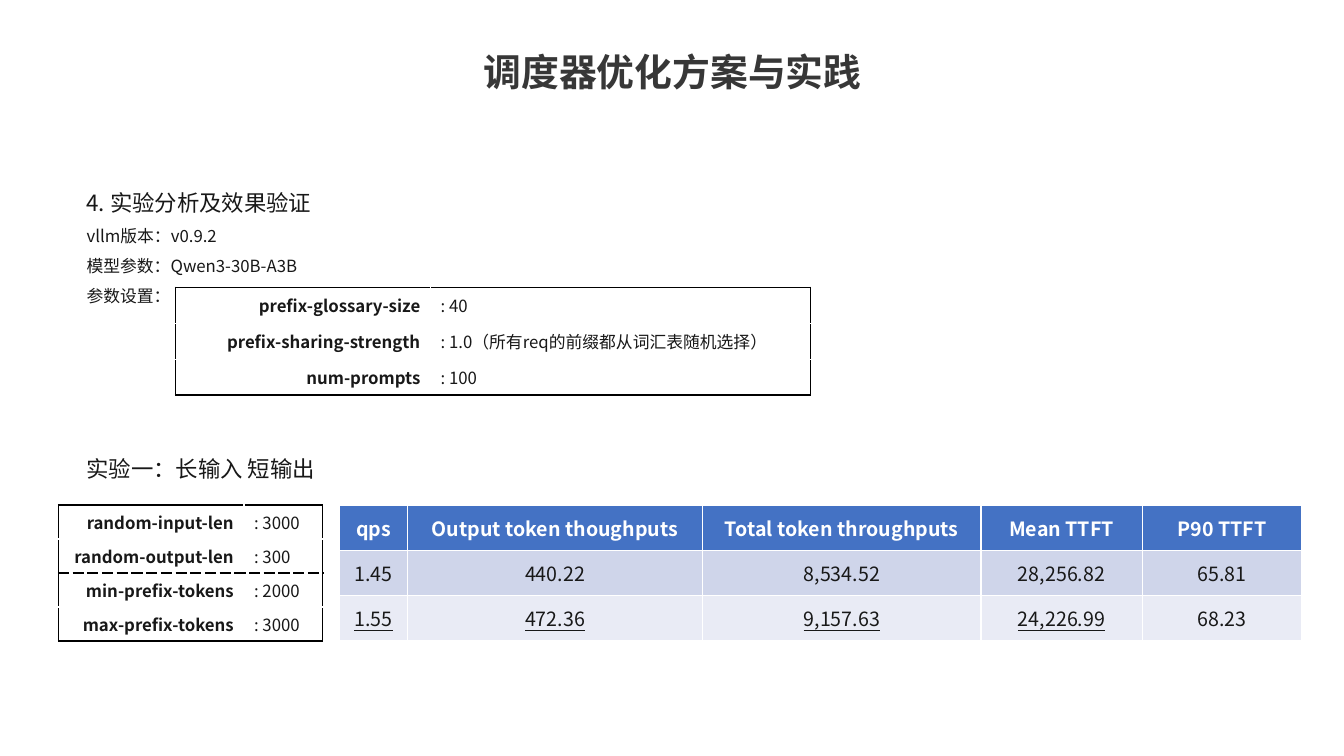
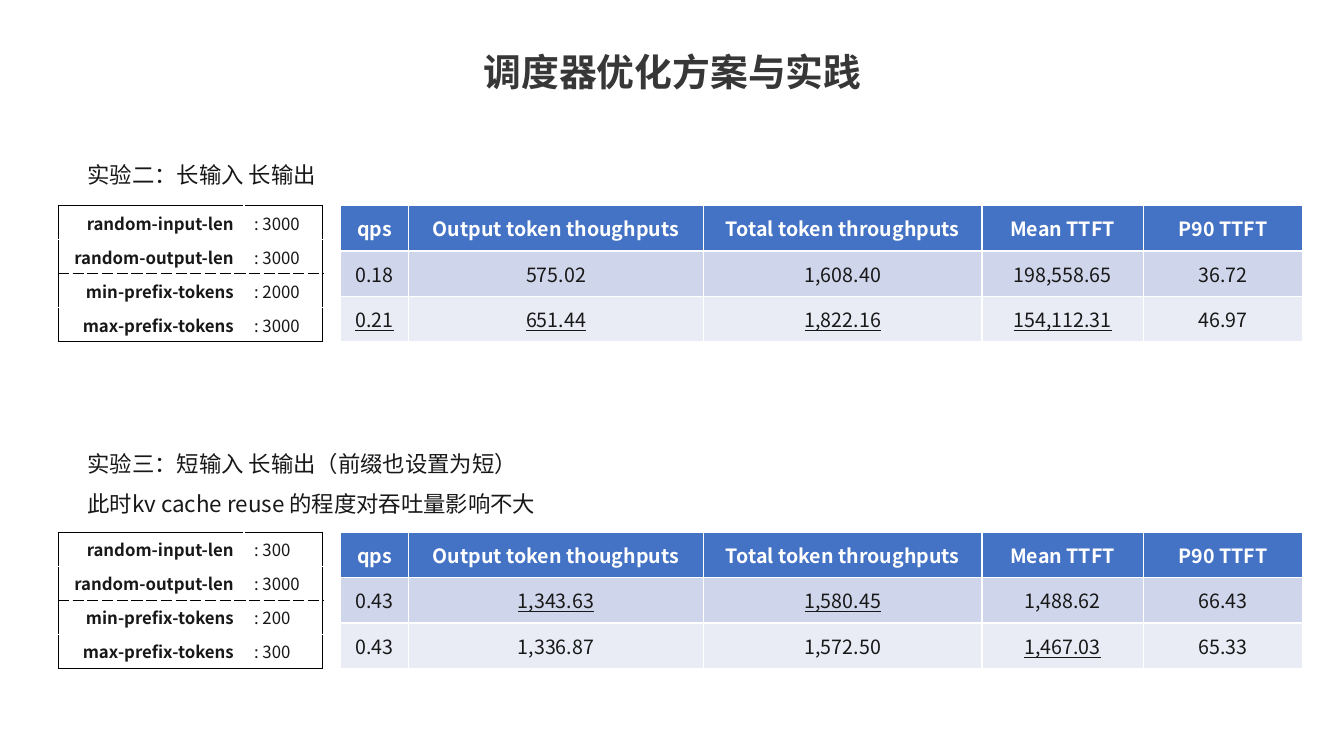
from lxml import etree
from pptx import Presentation
from pptx.dml.color import RGBColor
from pptx.enum.text import MSO_ANCHOR, PP_ALIGN
from pptx.oxml.ns import qn
from pptx.util import Inches, Pt

LEFT, CENTER, RIGHT = PP_ALIGN.LEFT, PP_ALIGN.CENTER, PP_ALIGN.RIGHT
MIDDLE = MSO_ANCHOR.MIDDLE
FONT = "Noto Sans CJK SC"
COLORS = {
    "title": "373737",
    "text": "181818",
    "line": "000000",
    "white": "FFFFFF",
    "head": "4472C4",
    "odd": "CFD5EA",
    "even": "E9EBF5",
}
TITLE = "调度器优化方案与实践"
HEADS = ("qps", "Output token thoughputs", "Total token throughputs", "Mean TTFT", "P90 TTFT")
KEYS = ("random-input-len", "random-output-len", "min-prefix-tokens", "max-prefix-tokens")
DATA_COLS = (0.67, 2.93, 2.76, 1.6, 1.58)
KEY_COLS = (1.84, 0.78)
HEIGHT = 1.35

# Per slide: text blocks as (left, top, height, ((line, size), ...))
TEXTS = (
    (
        (0.76, 1.69, 1.38, (
            ("4. 实验分析及效果验证", 16),
            ("vllm版本：v0.9.2", 12),
            ("模型参数：Qwen3-30B-A3B", 12),
            ("参数设置：", 12),
        )),
        (0.76, 4.33, 0.46, (("实验一：长输入 短输出", 16),)),
    ),
    (
        (0.77, 1.42, 0.46, (("实验二：长输入 长输出", 16),)),
        (0.77, 4.28, 0.86, (
            ("实验三：短输入 长输出（前缀也设置为短）", 16),
            ("此时kv cache reuse 的程度对吞吐量影响不大", 16),
        )),
    ),
)

# Per slide: tests as (data left, top, key values, data rows); * marks underlined values
TESTS = (
    (
        (3.37, 5.01, (3000, 300, 2000, 3000), (
            ("1.45", "440.22", "8,534.52", "28,256.82", "65.81"),
            ("*1.55", "*472.36", "*9,157.63", "*24,226.99", "68.23"),
        )),
    ),
    (
        (3.38, 2.04, (3000, 3000, 2000, 3000), (
            ("0.18", "575.02", "1,608.40", "198,558.65", "36.72"),
            ("*0.21", "*651.44", "*1,822.16", "*154,112.31", "46.97"),
        )),
        (3.38, 5.28, (300, 3000, 200, 300), (
            ("0.43", "*1,343.63", "*1,580.45", "1,488.62", "66.43"),
            ("0.43", "1,336.87", "1,572.50", "*1,467.03", "65.33"),
        )),
    ),
)
SETUP = (
    ("prefix-glossary-size", ": 40"),
    ("prefix-sharing-strength", ": 1.0（所有req的前缀都从词汇表随机选择）"),
    ("num-prompts", ": 100"),
)


def write(par, text, size, color="text", bold=False, align=LEFT):
    """Fill a paragraph; a leading * underlines it."""
    par.text = text.lstrip("*")
    par.alignment = align
    for run in par.runs:
        font = run.font
        font.size, font.bold, font.name = Pt(size), bold, FONT
        font.underline = True if text.startswith("*") else None
        font.color.rgb = RGBColor.from_string(COLORS[color])
        etree.SubElement(run._r.get_or_add_rPr(), qn("a:ea"), typeface=FONT)


def grid(slide, left, top, cols, height, rows, boxed=False, dash=None):
    """Add a data table, or a boxed key list with a dashed line under row dash."""
    frame = slide.shapes.add_table(len(rows), len(cols), Inches(left), Inches(top),
                                   Inches(sum(cols)), Inches(height))
    table = frame.table
    table.first_row = table.horz_banding = not boxed
    for col, width in zip(table.columns, cols):
        col.width = Inches(width)
    for r, row in enumerate(rows):
        table.rows[r].height = Inches(height / len(rows))
        for c, text in enumerate(row):
            cell = table.cell(r, c)
            cell.vertical_anchor = MIDDLE
            par = cell.text_frame.paragraphs[0]
            if boxed:
                write(par, text, 12, bold=c == 0, align=LEFT if c else RIGHT)
                fill = "white"
                edges = {
                    "lnL": "solid" if c == 0 else None,
                    "lnR": "solid" if c == len(cols) - 1 else None,
                    "lnT": "solid" if r == 0 else "lgDash" if r - 1 == dash else None,
                    "lnB": "solid" if r == len(rows) - 1 else "lgDash" if r == dash else None,
                }
                for edge, style in edges.items():
                    if style:
                        line = etree.SubElement(cell._tc.get_or_add_tcPr(),
                                                qn("a:" + edge), w=str(Pt(1)))
                        paint = etree.SubElement(line, qn("a:solidFill"))
                        etree.SubElement(paint, qn("a:srgbClr"), val=COLORS["line"])
                        etree.SubElement(line, qn("a:prstDash"), val=style)
            else:
                write(par, text, 14, "text" if r else "white", r == 0, CENTER)
                fill = ("head", "odd", "even")[r]
            cell.fill.solid()
            cell.fill.fore_color.rgb = RGBColor.from_string(COLORS[fill])


deck = Presentation()
deck.slide_width, deck.slide_height = Inches(13.33), Inches(7.5)

for blocks, tests in zip(TEXTS, TESTS):
    slide = deck.slides.add_slide(deck.slide_layouts[6])
    title = slide.shapes.add_textbox(Inches(4.7), Inches(0.43), Inches(3.94), Inches(0.56))
    frame = title.text_frame
    frame.word_wrap = True
    frame.margin_left = frame.margin_right = Inches(0.03)
    write(frame.paragraphs[0], TITLE, 27, "title", True, CENTER)

    for left, top, height, lines in blocks:
        box = slide.shapes.add_textbox(Inches(left), Inches(top), Inches(12.15), Inches(height))
        frame = box.text_frame
        frame.word_wrap = True
        for i, (text, size) in enumerate(lines):
            par = frame.add_paragraph() if i else frame.paragraphs[0]
            par.line_spacing = 1.5
            write(par, text, size)

    for left, top, values, rows in tests:
        pairs = [(key, f": {value}") for key, value in zip(KEYS, values)]
        grid(slide, 0.58, top, KEY_COLS, HEIGHT, pairs, boxed=True, dash=1)
        grid(slide, left, top, DATA_COLS, HEIGHT, (HEADS, *rows))

grid(deck.slides[0], 1.74, 2.85, (2.53, 3.77), 1.07, SETUP, boxed=True)

deck.save("out.pptx")
